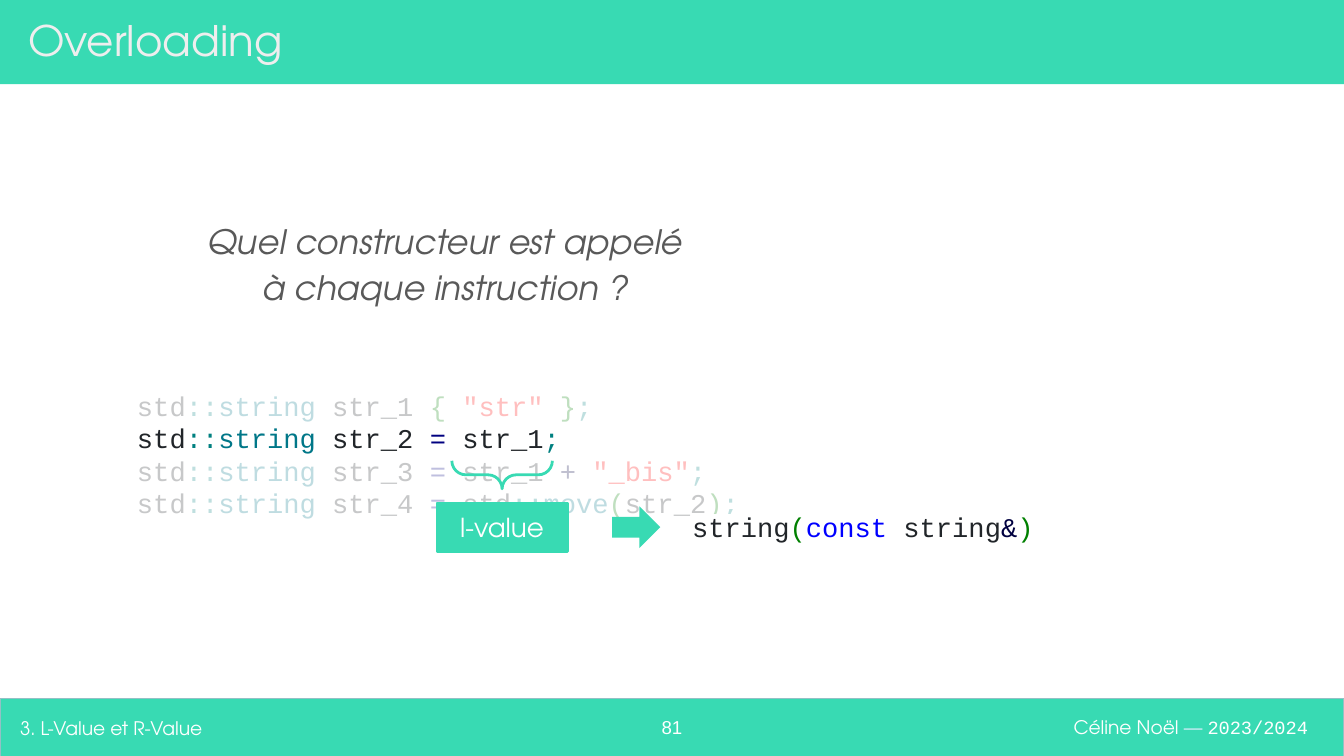
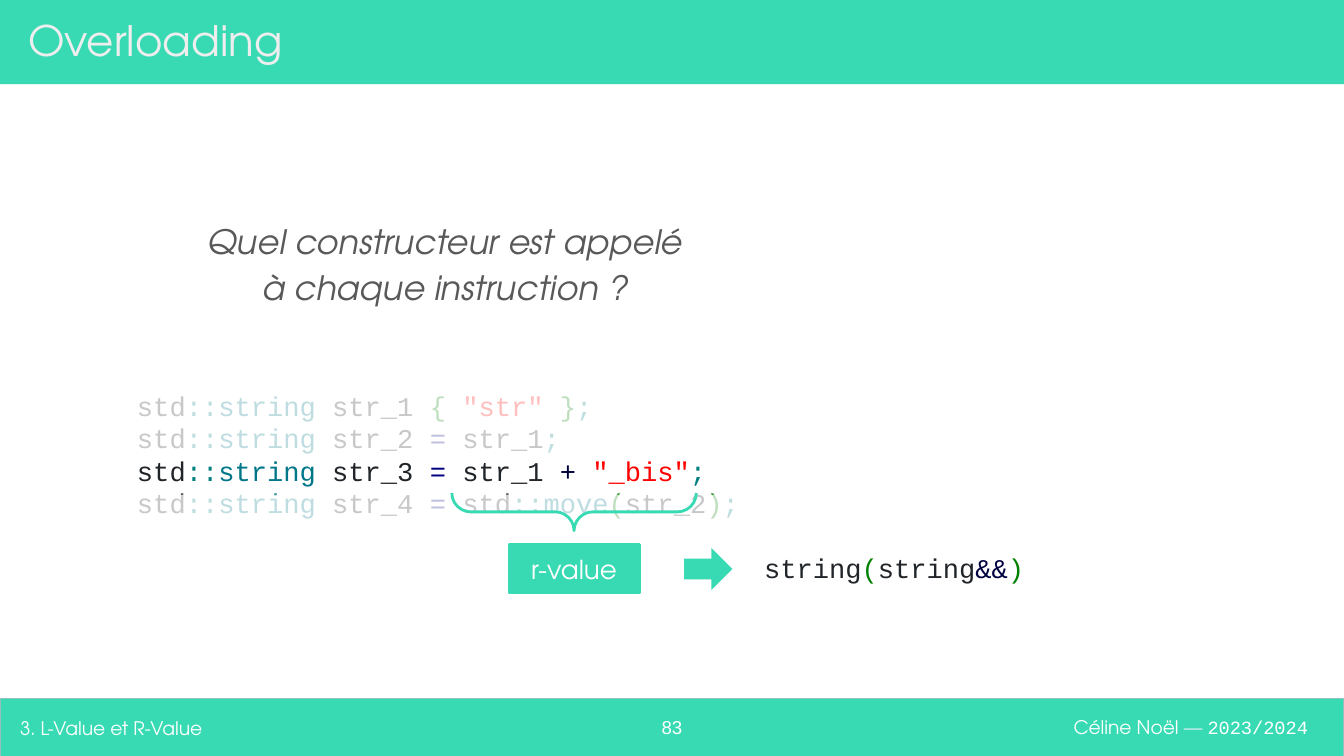
from dataclasses import dataclass

from lxml.etree import SubElement
from pptx import Presentation
from pptx.dml.color import RGBColor
from pptx.enum.shapes import MSO_SHAPE
from pptx.enum.text import MSO_ANCHOR, MSO_AUTO_SIZE, PP_ALIGN
from pptx.oxml import parse_xml
from pptx.oxml.ns import nsdecls, qn
from pptx.util import Cm, Pt


@dataclass(frozen=True)
class Theme:
    sans: str = "TeX Gyre Adventor"
    mono: str = "Courier New"
    number: str = "Arial"
    accent: str = "38DAB3"
    edge: str = "93C0C5"
    white: str = "FFFFFF"
    dash: str = "E2EEFF"
    title: str = "EEEEEE"
    question: str = "595959"
    # Syntax colours
    ident: str = "212529"
    punct: str = "008080"
    kind: str = "007788"
    bracket: str = "008000"
    literal: str = "FF0000"
    assign: str = "000080"
    operator: str = "000040"
    keyword: str = "0000FF"
    # Type sizes
    title_pt: float = 22.5
    question_pt: float = 18
    code_pt: float = 14.5
    label_pt: float = 14
    footer_pt: float = 10


T = Theme()


def write(shape, lines, font=T.sans, size=T.footer_pt, align=PP_ALIGN.LEFT,
          anchor=MSO_ANCHOR.TOP, italic=False, spacing=None, after=None,
          highlight=None):
    """Fill a shape; each line is a list of (text, colour[, font]) runs."""
    tf = shape.text_frame
    tf.word_wrap = True
    tf.auto_size = MSO_AUTO_SIZE.NONE
    tf.vertical_anchor = anchor
    tf.margin_left = tf.margin_right = Cm(0.25)
    tf.margin_top = tf.margin_bottom = Cm(0.25)
    for i, runs in enumerate(lines):
        p = tf.add_paragraph() if i else tf.paragraphs[0]
        p.alignment = align
        if spacing:
            p.line_spacing = spacing
        if after:
            p.space_after = Pt(after)
        for text, color, *own_font in runs:
            if text == "\n":
                p.add_line_break()
                continue
            r = p.add_run()
            r.text = text
            r.font.size = Pt(size)
            r.font.italic = italic
            r.font.color.rgb = RGBColor.from_string(color)
            if highlight:
                r.font.fill._xPr.find(qn("a:solidFill")).addnext(parse_xml(
                    f'<a:highlight {nsdecls("a")}>'
                    f'<a:srgbClr val="{highlight}"/></a:highlight>'))
            r.font.name = own_font[0] if own_font else font


def draw(s, preset, box, fill=None, line=None, width=1.5, opacity=None, turn=0):
    """Add a preset shape; box is left, top, width, height in cm."""
    sp = s.shapes.add_shape(preset, *map(Cm, box))
    sp.shadow.inherit = False
    sp.rotation = turn
    if fill:
        sp.fill.solid()
        sp.fill.fore_color.rgb = RGBColor.from_string(fill)
    else:
        sp.fill.background()
    if line:
        sp.line.color.rgb = RGBColor.from_string(line)
        sp.line.width = Pt(width)
    else:
        sp.line.fill.background()
    if opacity:
        color = sp._element.spPr.find(qn("a:solidFill"))[0]
        SubElement(color, qn("a:alpha"), val=str(opacity * 1000))
    return sp


# Code listing: every line declares a string, then initialises it
initialisers = [
    [("{ ", T.bracket), ('"str" ', T.literal), ("}", T.bracket)],
    [("=", T.assign), (" str_1", T.ident)],
    [("=", T.assign), (" str_1 ", T.ident), ("+ ", T.operator),
     ('"_bis"', T.literal)],
    [("=", T.assign), (" std", T.ident), ("::", T.punct), ("move", T.kind),
     ("(", T.bracket), ("str_2", T.ident), (")", T.bracket)],
]
code = [
    [("std", T.ident), ("::", T.punct), ("string", T.kind),
     (f" str_{n} ", T.ident), *init, (";", T.punct)]
    for n, init in enumerate(initialisers, 1)
]

# What differs between the slides; brace is top, length, depth
steps = [
    dict(page="81", label="l-value", veil_above=0.91, veil_below=8.69,
         brace=(8.71, 1.9, 0.53),
         signature=[("string", T.ident), ("(", T.bracket), ("const", T.keyword),
                    (" string", T.ident), ("&", T.operator), (")", T.bracket)]),
    dict(page="83", label="r-value", veil_above=1.52, veil_below=9.35,
         brace=(9.32, 4.62, 0.71),
         signature=[("string", T.ident), ("(", T.bracket), ("string", T.ident),
                    ("&&", T.operator), (")", T.bracket)]),
]
BRACE_LEFT, VEIL_BOTTOM = 8.54, 10.59
LABEL_W, LABEL_H = 2.46, 0.91

prs = Presentation()
prs.slide_width, prs.slide_height = Cm(25.4), Cm(14.29)
layout = prs.slide_layouts.get_by_name("Title Only")
slides = [prs.slides.add_slide(layout) for _ in steps]

# Bands and author line, moved to the shared layout
s = slides[0]
footer = draw(s, MSO_SHAPE.RECTANGLE, (0, 13.2, 25.4, 1.12), T.accent, T.edge, 0.75)
header = draw(s, MSO_SHAPE.RECTANGLE, (0, 0, 25.4, 1.59), T.accent)
author = s.shapes.add_textbox(Cm(18.24), Cm(13.18), Cm(6.73), Cm(1.12))
write(author, [[("Céline Noël ", T.white), ("— ", T.dash),
                ("2023/2024", T.white, T.mono)]],
      align=PP_ALIGN.RIGHT, anchor=MSO_ANCHOR.MIDDLE)
for sp in (footer, header, author):
    layout.shapes._spTree.append(sp._element)

for s, step in zip(slides, steps):
    # Title
    title = s.shapes.title
    title.left, title.top, title.width, title.height = map(
        Cm, (0.28, 0.15, 24.08, 1.22))
    write(title, [[("Overloading", T.title)]], size=T.title_pt,
          anchor=MSO_ANCHOR.MIDDLE)

    # Page number and section
    page = s.shapes.add_textbox(Cm(11.94), Cm(13.28), Cm(1.52), Cm(0.91))
    write(page, [[(step["page"], T.white)]], font=T.number, align=PP_ALIGN.CENTER)
    section = s.shapes.add_textbox(Cm(0.13), Cm(13.2), Cm(11.53), Cm(1.12))
    write(section, [[("3. L-Value et R-Value", T.white)]], anchor=MSO_ANCHOR.MIDDLE)

    # Code and question
    listing = s.shapes.add_textbox(Cm(2.34), Cm(7.11), Cm(12.14), Cm(3))
    write(listing, code, font=T.mono, size=T.code_pt)
    question = s.shapes.add_textbox(Cm(0.81), Cm(3.81), Cm(15.21), Cm(2.44))
    write(question, [[("Quel constructeur est appelé", T.question),
                      ("\n", T.question),
                      ("à chaque instruction ?", T.question)]],
          size=T.question_pt, italic=True, align=PP_ALIGN.CENTER,
          spacing=1.15, after=12)

    # Veils over the other code lines
    below = step["veil_below"]
    for box in ((2.24, 7.14, 11.81, step["veil_above"]),
                (2.57, below, 11.81, VEIL_BOTTOM - below)):
        draw(s, MSO_SHAPE.RECTANGLE, box, T.white, opacity=75)

    # Value label, centred under its brace
    top, length, depth = step["brace"]
    mid_x, mid_y = BRACE_LEFT + length / 2, top + depth / 2
    x, y = mid_x - LABEL_W / 2, top + depth + 0.27
    label = draw(s, MSO_SHAPE.FLOWCHART_PROCESS, (x, y, LABEL_W, LABEL_H),
                 T.accent, T.accent)
    write(label, [[(step["label"], T.white)]], size=T.label_pt,
          align=PP_ALIGN.CENTER, anchor=MSO_ANCHOR.MIDDLE)
    brace = draw(s, MSO_SHAPE.LEFT_BRACE,
                 (mid_x - depth / 2, mid_y - length / 2, depth, length),
                 line=T.accent, turn=270)
    brace.adjustments[0] = brace.adjustments[1] = 0.5

    # Constructor that gets called
    signature = s.shapes.add_textbox(Cm(x + 4.57), Cm(y - 0.12), Cm(6.99), Cm(1.14))
    write(signature, [step["signature"]], font=T.mono, size=T.code_pt,
          highlight=T.white)
    draw(s, MSO_SHAPE.DOWN_ARROW, (x + 3.37, y, 0.79, LABEL_H), T.accent, turn=270)

prs.save("out.pptx")
